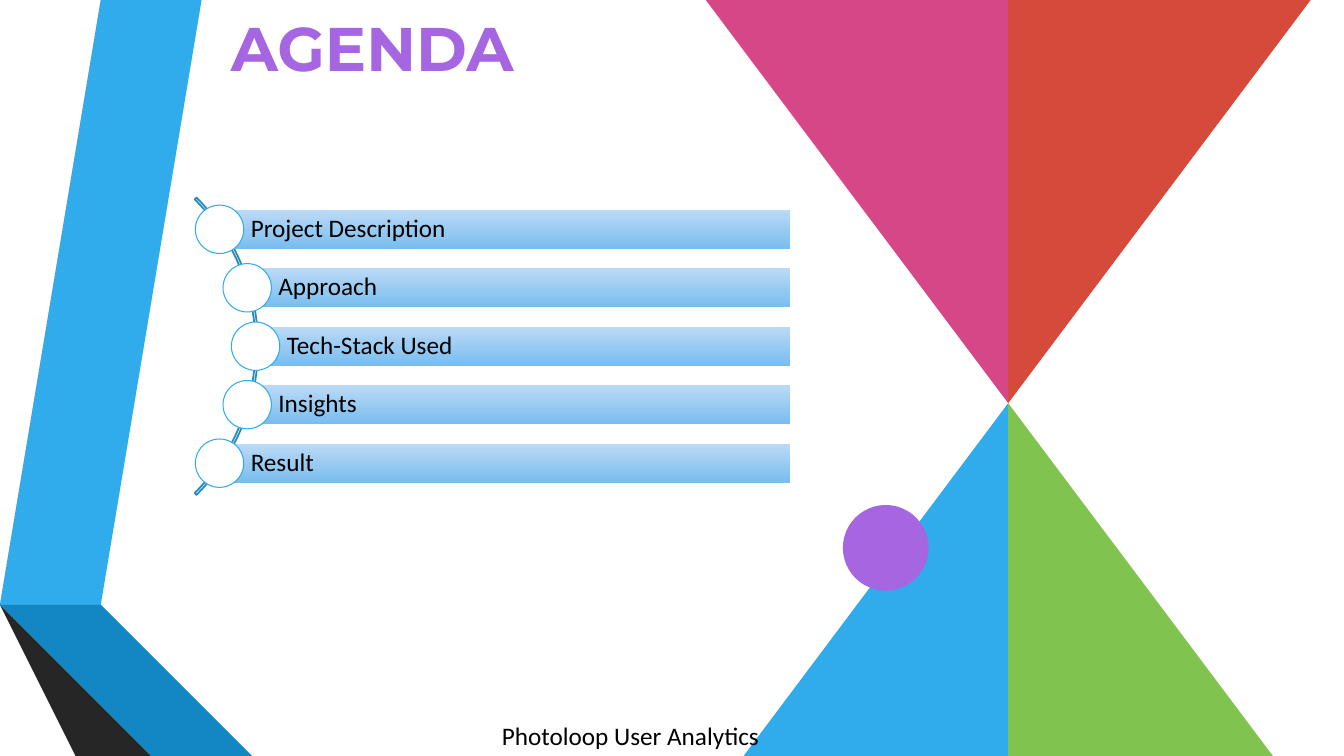
import math
import pptx
import pptx.dml.color
import pptx.enum.shapes
import pptx.enum.text
import pptx.util

Inches = pptx.util.Inches
MSO_SHAPE = pptx.enum.shapes.MSO_SHAPE


def color(hex_string):
    return pptx.dml.color.RGBColor.from_string(hex_string)


def set_text(shape, text, font="Calibri", size=18, hex_color="000000", bold=False,
             anchor=pptx.enum.text.MSO_ANCHOR.MIDDLE, left_inset=0.1, spacing=1.0):
    frame = shape.text_frame
    frame.word_wrap = True
    frame.auto_size = pptx.enum.text.MSO_AUTO_SIZE.NONE
    frame.vertical_anchor = anchor
    frame.margin_left = Inches(left_inset)
    frame.margin_top = frame.margin_bottom = Inches(0.05)
    paragraph = frame.paragraphs[0]
    paragraph.alignment = pptx.enum.text.PP_ALIGN.LEFT
    paragraph.line_spacing = spacing
    run = paragraph.add_run()
    run.text = text
    run.font.name = font
    run.font.size = pptx.util.Pt(size)
    run.font.bold = bold
    run.font.color.rgb = color(hex_color)


presentation = pptx.Presentation()
presentation.slide_width = Inches(13.33)
presentation.slide_height = Inches(7.5)
slide = presentation.slides.add_slide(presentation.slide_layouts[5])
shapes = slide.shapes

# Ribbons on the left, then the four triangles on the right
polygons = [
    ("30ACEC", [(0.5, 5.78), (0.77, 5.83), (1.73, 0), (1.45, 0)]),
    ("595959", [(1.39, 0), (1.11, 0), (0.16, 5.73), (0.44, 5.77)]),
    ("262626", [(0.16, 5.73), (1.45, 7.5), (1.51, 7.5)]),
    ("0C5A82", [(0.5, 5.79), (2.08, 7.5), (2.14, 7.5)]),
    ("1287C3", [(0.5, 5.78), (2.14, 7.5), (2.83, 7.5), (0.77, 5.83)]),
    ("404040", [(2.02, 7.5), (0.44, 5.77), (0.16, 5.73), (1.51, 7.5)]),
    ("30ACEC", [(10.21, 3.72), (7.06, 7.52), (10.21, 7.52)]),
    ("80C34F", [(10.19, 3.72), (13.33, 7.52), (10.19, 7.52)]),
    ("D64A3B", [(10.19, 3.79), (13.35, 0), (10.19, 0)]),
    ("D64787", [(10.21, 3.79), (7.07, 0), (10.21, 0)]),
]
for fill, points in polygons:
    builder = shapes.build_freeform(*points[0], scale=Inches(1))
    builder.add_line_segments(points[1:], close=True)
    polygon = builder.convert_to_shape()
    polygon.shadow.inherit = False
    polygon.fill.solid()
    polygon.fill.fore_color.rgb = color(fill)
    polygon.line.fill.background()

# Purple dot
dot = shapes.add_shape(MSO_SHAPE.OVAL, Inches(8.36), Inches(5.01), Inches(0.85), Inches(0.85))
dot.shadow.inherit = False
dot.fill.solid()
dot.fill.fore_color.rgb = color("A666E1")
dot.line.fill.background()

# Title
title = shapes.title
title.left, title.top = Inches(2.19), Inches(0.04)
title.width, title.height = Inches(6.23), Inches(0.84)
set_text(title, "AGENDA", font="Montserrat", size=44, hex_color="A666E1", bold=True)

# Arc behind the agenda
arc_size = 4.17
arc_left, arc_top = -1.61, 1.35
arc = shapes.add_shape(MSO_SHAPE.BLOCK_ARC, Inches(arc_left), Inches(arc_top),
                       Inches(arc_size), Inches(arc_size))
for index, value in enumerate((189, 27, 0.006)):
    arc.adjustments[index] = value
arc.shadow.inherit = False
arc.fill.background()
arc.line.color.rgb = color("268ABD")
arc.line.width = pptx.util.Pt(1.25)

# Agenda bars, each starting at a bullet centred on the arc
agenda = ["Project Description", "Approach", "Tech-Stack Used", "Insights", "Result"]
bar_right, bar_height, bar_step = 7.84, 0.39, 0.58
bullet_size, bullet_radius = 0.48, 2.06
arc_center_x = arc_left + arc_size / 2
arc_center_y = arc_top + arc_size / 2
for index, item in enumerate(agenda):
    offset = (index - 2) * bar_step
    center_x = arc_center_x + math.sqrt(bullet_radius ** 2 - offset ** 2)
    center_y = arc_center_y + offset

    bar = shapes.add_shape(MSO_SHAPE.RECTANGLE, Inches(center_x), Inches(center_y - bar_height / 2),
                           Inches(bar_right - center_x), Inches(bar_height))
    bar.shadow.inherit = False
    bar.fill.gradient()
    bar.fill.gradient_angle = 270
    for stop, position, hex_color in zip(bar.fill.gradient_stops, (0, 1), ("BCDAF6", "78BDEF")):
        stop.position = position
        stop.color.rgb = color(hex_color)
    bar.line.fill.background()
    set_text(bar, item, left_inset=0.31, spacing=0.9)

    bullet = shapes.add_shape(MSO_SHAPE.OVAL, Inches(center_x - bullet_size / 2),
                              Inches(center_y - bullet_size / 2),
                              Inches(bullet_size), Inches(bullet_size))
    bullet.shadow.inherit = False
    bullet.fill.solid()
    bullet.fill.fore_color.rgb = color("FFFFFF")
    bullet.line.color.rgb = color("30ACEC")
    bullet.line.width = pptx.util.Pt(0.75)

# Footer
footer = shapes.add_textbox(Inches(4.88), Inches(7.1), Inches(6.67), Inches(0.4))
set_text(footer, "Photoloop User Analytics", anchor=pptx.enum.text.MSO_ANCHOR.TOP)

presentation.save("out.pptx")
